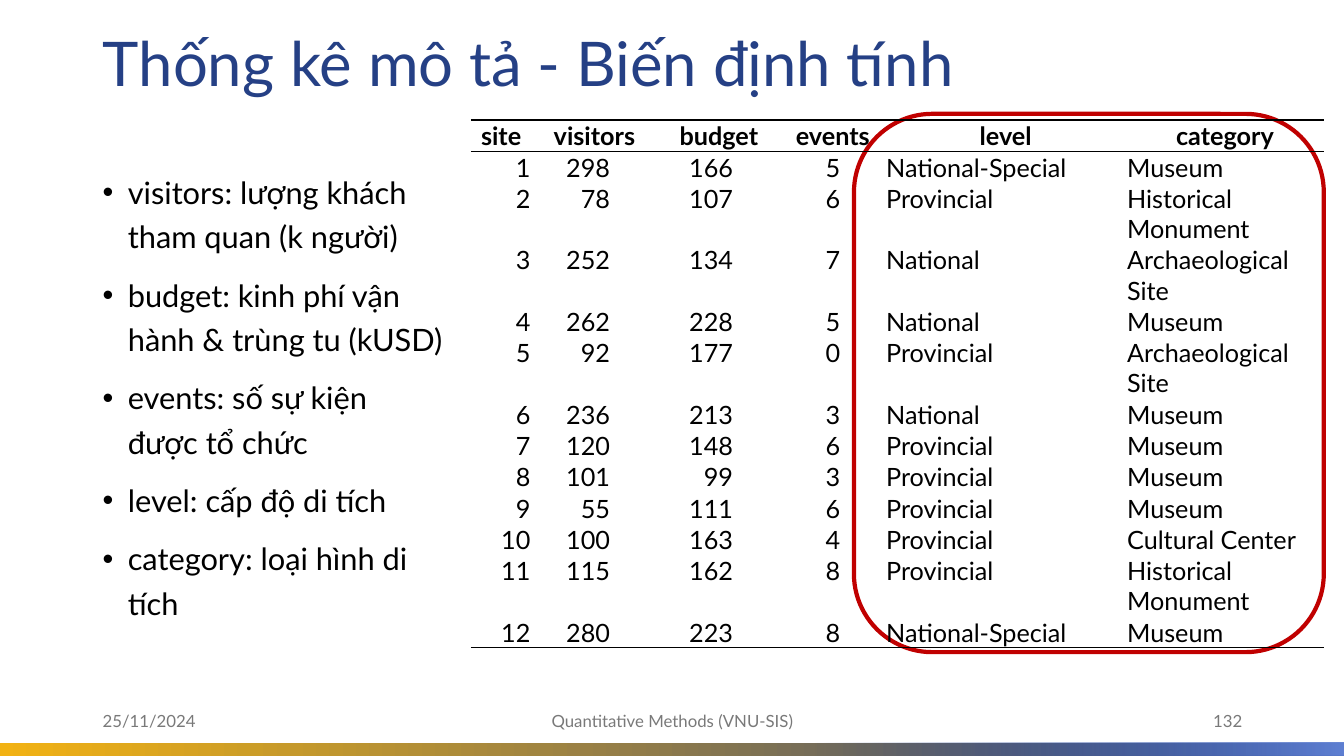
from lxml import etree
from pptx import Presentation
from pptx.dml.color import RGBColor
from pptx.enum.shapes import MSO_SHAPE
from pptx.enum.text import MSO_ANCHOR, MSO_AUTO_SIZE, PP_ALIGN
from pptx.oxml.ns import qn
from pptx.util import Inches, Pt

LEFT, CENTER, RIGHT = PP_ALIGN.LEFT, PP_ALIGN.CENTER, PP_ALIGN.RIGHT
TOP, MIDDLE = MSO_ANCHOR.TOP, MSO_ANCHOR.MIDDLE
NO_FIT = MSO_AUTO_SIZE.NONE
RECTANGLE, ROUNDED = MSO_SHAPE.RECTANGLE, MSO_SHAPE.ROUNDED_RECTANGLE

FONT = "Lato"
COLORS = {
    "navy": "254085",
    "gold": "F2B213",
    "sky": "5F80D3",
    "red": "C00000",
    "text": "000000",
    "footer": "797979",
}
PLAIN_STYLE = "{2D5ABB26-0587-4C30-8999-92F81FD0307C}"

DEFINITIONS = [
    "visitors: lượng khách tham quan (k người)",
    "budget: kinh phí vận hành & trùng tu (kUSD)",
    "events: số sự kiện được tổ chức",
    "level: cấp độ di tích",
    "category: loại hình di tích",
]
FOOTERS = [
    ("25/11/2024", 0.92, 3, LEFT),
    ("Quantitative Methods (VNU-SIS)", 4.42, 4.5, CENTER),
    ("132", 9.42, 3, RIGHT),
]
# Heading, column width, alignment and right margin of the values
COLUMNS = [
    ("site", 0.6, RIGHT, 0.01),
    ("visitors", 1.25, RIGHT, 0.47),
    ("budget", 1.22, RIGHT, 0.47),
    ("events", 1.04, CENTER, 0.01),
    ("level", 2.39, LEFT, 0.01),
    ("category", 1.96, LEFT, 0.01),
]
SITES = [
    (298, 166, 5, "National-Special", "Museum"),
    (78, 107, 6, "Provincial", "Historical Monument"),
    (252, 134, 7, "National", "Archaeological Site"),
    (262, 228, 5, "National", "Museum"),
    (92, 177, 0, "Provincial", "Archaeological Site"),
    (236, 213, 3, "National", "Museum"),
    (120, 148, 6, "Provincial", "Museum"),
    (101, 99, 3, "Provincial", "Museum"),
    (55, 111, 6, "Provincial", "Museum"),
    (100, 163, 4, "Provincial", "Cultural Center"),
    (115, 162, 8, "Provincial", "Historical Monument"),
    (280, 223, 8, "National-Special", "Museum"),
]


def rgb(name):
    return RGBColor.from_string(COLORS[name])


def set_format(target, values):
    for attribute, value in values.items():
        setattr(target, attribute, value)


def style_paragraph(paragraph, size, color, bold=False, **layout):
    set_format(paragraph, layout)
    set_format(paragraph.font, {"name": FONT, "size": Pt(size), "bold": bold})
    paragraph.font.color.rgb = rgb(color)


def add_text_frame(slide, box, anchor):
    frame = slide.shapes.add_textbox(*map(Inches, box)).text_frame
    set_format(frame, {"word_wrap": True, "auto_size": NO_FIT, "vertical_anchor": anchor})
    return frame


def add_gradient_bar(slide, box, stops):
    bar = slide.shapes.add_shape(RECTANGLE, *map(Inches, box))
    bar.shadow.inherit = False
    bar.line.fill.background()
    bar.fill.gradient()
    bar.fill.gradient_angle = 0
    for stop, (position, color) in zip(bar.fill.gradient_stops, stops):
        stop.position = position
        stop.color.rgb = rgb(color)
    return bar


def make_first_stop_clear(bar):
    first_color = next(bar.element.iter(qn("a:gs")))[0]
    etree.SubElement(first_color, qn("a:alpha"), val="0")


def add_title(slide, text):
    title = slide.shapes.title
    set_format(title, {"left": Inches(0.92), "top": Inches(0.15),
                       "width": Inches(11.5), "height": Inches(1.02)})
    set_format(title.text_frame, {"text": text, "word_wrap": True,
                                  "auto_size": NO_FIT, "vertical_anchor": MIDDLE})
    style_paragraph(title.text_frame.paragraphs[0], 44, "navy",
                    alignment=LEFT, line_spacing=0.9)


def add_definitions(slide):
    frame = add_text_frame(slide, (0.92, 1.6, 3.57, 5.03), TOP)
    for i, definition in enumerate(DEFINITIONS):
        paragraph = frame.paragraphs[0] if i == 0 else frame.add_paragraph()
        paragraph.text = definition
        properties = paragraph._p.get_or_add_pPr()
        properties.set("marL", str(Inches(0.25)))
        properties.set("indent", str(Inches(-0.25)))
        etree.SubElement(properties, qn("a:buFont"), typeface="Arial")
        etree.SubElement(properties, qn("a:buChar"), char="•")
        style_paragraph(paragraph, 22, "text", line_spacing=1.2,
                        space_before=Pt(10 if i else 0))


def add_highlight(slide):
    outline = slide.shapes.add_shape(ROUNDED, *map(Inches, (8.47, 1.13, 4.66, 5.34)))
    outline.shadow.inherit = False
    outline.fill.background()
    outline.line.color.rgb = rgb("red")
    outline.line.width = Pt(3)


def add_border(cell, side):
    line = etree.SubElement(cell._tc.get_or_add_tcPr(), qn("a:" + side), w=str(Pt(1)))
    fill = etree.SubElement(line, qn("a:solidFill"))
    etree.SubElement(fill, qn("a:srgbClr"), val=COLORS["text"])


def fill_cell(cell, value, alignment, margin_right, borders, bold):
    set_format(cell, {"text": str(value), "vertical_anchor": TOP,
                      "margin_left": Inches(0.01), "margin_top": Inches(0.01),
                      "margin_right": Inches(margin_right), "margin_bottom": 0})
    style_paragraph(cell.text_frame.paragraphs[0], 18, "text", bold, alignment=alignment)
    for side in borders:
        add_border(cell, side)
    cell.fill.background()


def add_site_table(slide):
    rows = [[heading for heading, *_ in COLUMNS]]
    rows += [(number, *site) for number, site in enumerate(SITES, 1)]
    holder = slide.shapes.add_table(len(rows), len(COLUMNS),
                                    *map(Inches, (4.67, 1.19, 8.46, 5.24)))
    table = holder.table
    set_format(table, {"first_row": False, "horz_banding": False})
    table._tbl.tblPr.find(qn("a:tableStyleId")).text = PLAIN_STYLE
    for column, (_, width, *_) in zip(table.columns, COLUMNS):
        column.width = Inches(width)
    borders = {0: ("lnT", "lnB"), len(SITES): ("lnB",)}
    for r, values in enumerate(rows):
        table.rows[r].height = Inches(0.21)
        for c, value in enumerate(values):
            alignment, margin = COLUMNS[c][2:] if r else (CENTER, 0.01)
            fill_cell(table.cell(r, c), value, alignment, margin,
                      borders.get(r, ()), bold=r == 0)
    holder.height = Inches(5.24)


def add_footer(slide, text, left, width, alignment):
    frame = add_text_frame(slide, (left, 6.95, width, 0.4), MIDDLE)
    frame.text = text
    style_paragraph(frame.paragraphs[0], 12, "footer", alignment=alignment)


def main():
    deck = Presentation()
    deck.slide_width, deck.slide_height = Inches(13.33), Inches(7.5)
    slide = deck.slides.add_slide(deck.slide_layouts[5])

    # Bottom band: gold to navy, with a light blue fade on the right
    add_gradient_bar(slide, (0, 7.37, 13.33, 0.13), [(0, "gold"), (1, "navy")])
    fade = add_gradient_bar(slide, (6.85, 7.37, 6.48, 0.13), [(0.19, "navy"), (1, "sky")])
    make_first_stop_clear(fade)

    # Title and variable definitions
    add_title(slide, "Thống kê mô tả - Biến định tính")
    add_definitions(slide)

    # Data, with the qualitative columns circled
    add_highlight(slide)
    add_site_table(slide)

    # Footer line
    for footer in FOOTERS:
        add_footer(slide, *footer)

    deck.save("out.pptx")


if __name__ == "__main__":
    main()
